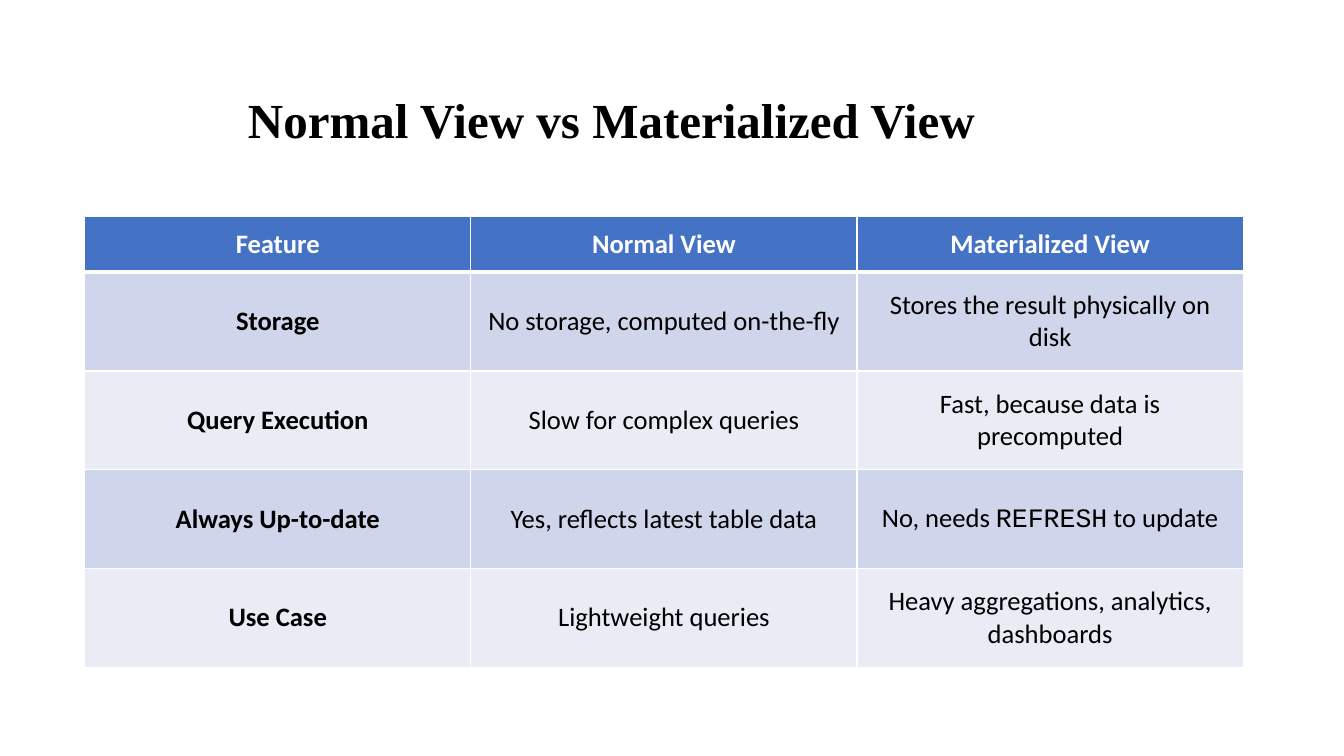
from lxml.etree import SubElement
from pptx import Presentation
from pptx.dml.color import RGBColor
from pptx.enum.text import MSO_ANCHOR as Anchor, PP_ALIGN as Align
from pptx.oxml.ns import qn
from pptx.util import Pt

PX = 9144  # 100 px to the inch
BLACK, WHITE, BLUE = "000000", "FFFFFF", "4472C4"
BANDS = ["CFD5EA", "E9EBF5"]
THIN, THICK = 1, 3
COLUMN_WIDTH, HEADER_HEIGHT, ROW_HEIGHT = 383, 55, 98

ROWS = [
    ["Feature", "Normal View", "Materialized View"],
    ["Storage", "No storage, computed on-the-fly", "Stores the result physically on disk"],
    ["Query Execution", "Slow for complex queries", "Fast, because data is precomputed"],
    ["Always Up-to-date", "Yes, reflects latest table data",
     [("No, needs ", "Calibri"), ("REFRESH", "Courier New"), (" to update", "Calibri")]],
    ["Use Case", "Lightweight queries", "Heavy aggregations, analytics, dashboards"],
]


def px(length):
    return round(length * PX)


def color(value):
    return RGBColor.from_string(value)


def add_span(para, text, font, size, ink, bold):
    span = para.add_run()
    span.text = text
    span.font.name = font
    span.font.size = Pt(size)
    span.font.bold = bold
    span.font.color.rgb = color(ink)


def add_title(page, text):
    box = page.shapes.add_textbox(px(236), px(89), px(809), px(66))
    frame = box.text_frame
    frame.word_wrap = True
    frame.vertical_anchor = Anchor.MIDDLE
    para = frame.paragraphs[0]
    para.line_spacing = 0.9
    add_span(para, text, "Times New Roman", 35, BLACK, True)


def set_borders(cell, top, bottom):
    """Draw white cell edges, with the top and bottom widths in points."""
    properties = cell._tc.get_or_add_tcPr()
    for side, width in (("L", THIN), ("R", THIN), ("T", top), ("B", bottom)):
        line = SubElement(properties, qn(f"a:ln{side}"), w=str(Pt(width)))
        fill = SubElement(line, qn("a:solidFill"))
        SubElement(fill, qn("a:srgbClr"), val=WHITE)


def fill_cell(cell, content, row, column):
    header = row == 0
    set_borders(cell, THICK if row == 1 else THIN, THICK if header else THIN)
    cell.fill.solid()
    cell.fill.fore_color.rgb = color(BLUE if header else BANDS[(row - 1) % 2])
    cell.vertical_anchor = Anchor.MIDDLE
    para = cell.text_frame.paragraphs[0]
    para.alignment = Align.CENTER
    spans = [(content, "Calibri")] if isinstance(content, str) else content
    for text, font in spans:
        add_span(para, text, font, 19, WHITE if header else BLACK, header or column == 0)


def add_comparison(page, rows):
    columns = len(rows[0])
    heights = [HEADER_HEIGHT] + [ROW_HEIGHT] * (len(rows) - 1)
    frame = page.shapes.add_table(len(rows), columns, px(84), px(215),
                                  px(COLUMN_WIDTH * columns), px(sum(heights)))
    table = frame.table
    for column in table.columns:
        column.width = px(COLUMN_WIDTH)
    for index, contents in enumerate(rows):
        table.rows[index].height = px(heights[index])
        for column, content in enumerate(contents):
            fill_cell(table.cell(index, column), content, index, column)


def main():
    deck = Presentation()
    deck.slide_width, deck.slide_height = px(1333), px(750)
    page = deck.slides.add_slide(deck.slide_layouts[6])
    add_title(page, "Normal View vs Materialized View")
    add_comparison(page, ROWS)
    deck.save("out.pptx")


if __name__ == "__main__":
    main()
